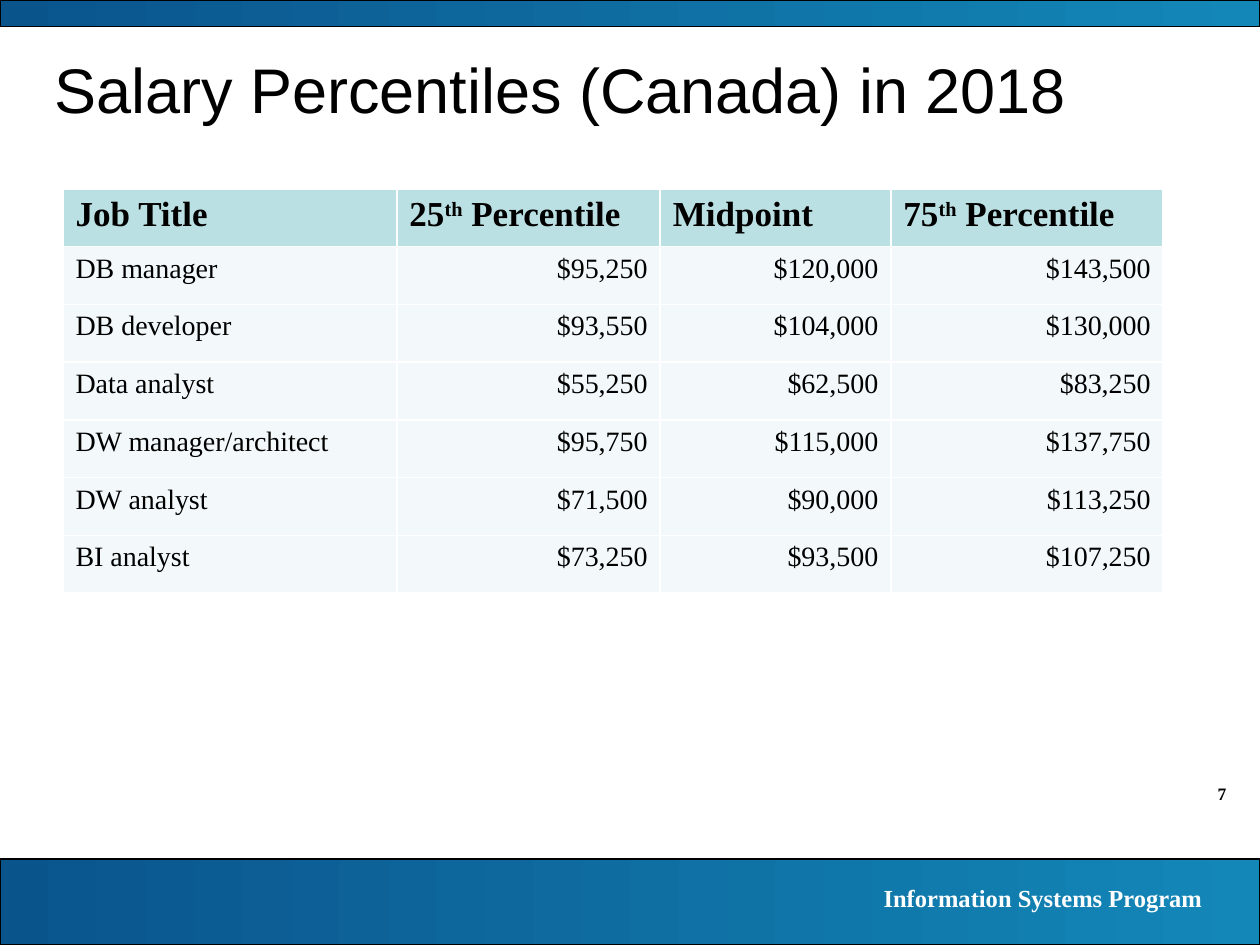
import pptx
import pptx.dml.color
import pptx.enum.shapes
import pptx.enum.text
import pptx.util

Cm, Pt = pptx.util.Cm, pptx.util.Pt
ALIGN = pptx.enum.text.PP_ALIGN
ANCHOR = pptx.enum.text.MSO_ANCHOR
SERIF = "Times New Roman"


def rgb(value):
    return pptx.dml.color.RGBColor.from_string(value)


def style(p, size, color, bold, align, name=SERIF):
    p.alignment = align
    p.font.name, p.font.size, p.font.bold = name, Pt(size), bold
    p.font.color.rgb = rgb(color)


prs = pptx.Presentation()
prs.slide_width, prs.slide_height = Cm(25.4), Cm(19.05)
s = prs.slides.add_slide(prs.slide_layouts[5])

# Gradient bands at the top and bottom edges
for top, height in ((17.32, 1.73), (0, 0.53)):
    band = s.shapes.add_shape(pptx.enum.shapes.MSO_SHAPE.RECTANGLE,
                              0, Cm(top), prs.slide_width, Cm(height))
    band.shadow.inherit = False
    band.fill.gradient()
    band.fill.gradient_angle = 0
    for stop, color in zip(band.fill.gradient_stops, ("0A548C", "1387B8")):
        stop.color.rgb = rgb(color)
    band.line.color.rgb = rgb("000000")
    band.line.width = Pt(0.75)

# Page number and programme name
for text, left, top, width, height, size, color in (
    ("7", 22.86, 15.67, 2.11, 0.69, 10, "000000"),
    ("Information Systems Program", 14.1, 17.68, 10.39, 0.86, 14, "FFFFFF"),
):
    sp = s.shapes.add_textbox(Cm(left), Cm(top), Cm(width), Cm(height))
    tf = sp.text_frame
    tf.word_wrap = True
    tf.text = text
    style(tf.paragraphs[0], size, color, True, ALIGN.RIGHT)

# Title
title = s.shapes.title
title.left, title.top, title.width, title.height = Cm(0.84), Cm(0.84), Cm(23.29), Cm(1.9)
tf = title.text_frame
tf.text = "Salary Percentiles (Canada) in 2018"
tf.vertical_anchor = ANCHOR.MIDDLE
style(tf.paragraphs[0], 36, "000000", False, ALIGN.LEFT, "Arial")

# Salary table; a header is a list of runs, with "th" raised
headers = [["Job Title"], ["25", "th", " Percentile"], ["Midpoint"], ["75", "th", " Percentile"]]
salaries = [
    ("DB manager", 95250, 120000, 143500),
    ("DB developer", 93550, 104000, 130000),
    ("Data analyst", 55250, 62500, 83250),
    ("DW manager/architect", 95750, 115000, 137750),
    ("DW analyst", 71500, 90000, 113250),
    ("BI analyst", 73250, 93500, 107250),
]
widths = [6.73, 5.31, 4.65, 5.49]
table = s.shapes.add_table(len(salaries) + 1, len(widths), Cm(1.27), Cm(3.81),
                           Cm(sum(widths)), Cm(8.15)).table
for column, width in zip(table.columns, widths):
    column.width = Cm(width)

for c, runs in enumerate(headers):
    cell = table.cell(0, c)
    cell.fill.solid()
    cell.fill.fore_color.rgb = rgb("BBE0E3")
    p = cell.text_frame.paragraphs[0]
    style(p, 20, "000000", True, ALIGN.LEFT)
    for text in runs:
        r = p.add_run()
        r.text = text
        if text == "th":
            r.font._element.set("baseline", "30000")

for i, row in enumerate(salaries, start=1):
    for c, value in enumerate(row):
        cell = table.cell(i, c)
        cell.fill.solid()
        cell.fill.fore_color.rgb = rgb("F3F9FA")
        cell.text = f"${value:,}" if c else value
        style(cell.text_frame.paragraphs[0], 16, "000000", False,
              ALIGN.RIGHT if c else ALIGN.LEFT)

prs.save("out.pptx")
